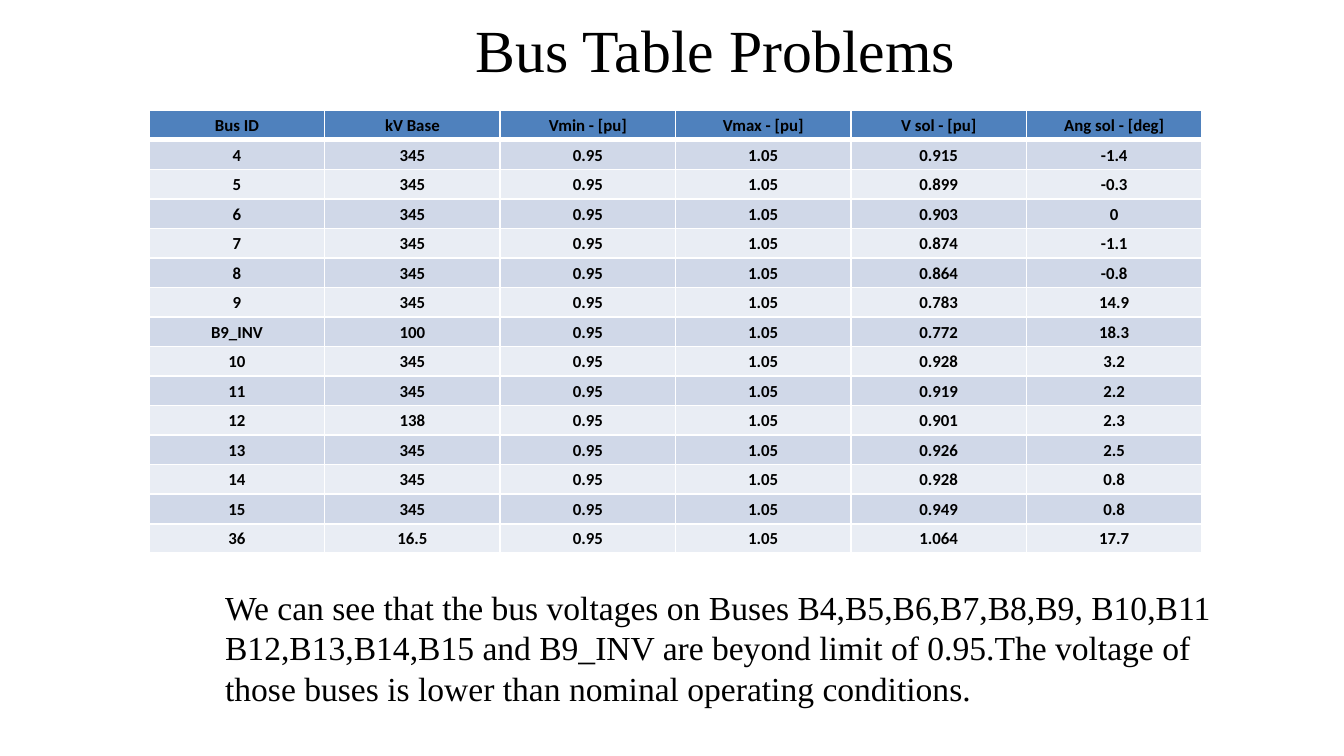
from dataclasses import dataclass

from lxml.etree import SubElement
from pptx import Presentation
from pptx.dml.color import RGBColor
from pptx.enum.text import MSO_ANCHOR, MSO_AUTO_SIZE, PP_ALIGN
from pptx.oxml.ns import qn
from pptx.util import Inches, Pt

SLIDE_WIDTH = Inches(10)
SLIDE_HEIGHT = SLIDE_WIDTH * 9 // 16


@dataclass(frozen=True)
class Theme:
    text: str = "000000"
    header: str = "4F81BD"
    odd_band: str = "D0D8E8"
    even_band: str = "E9EDF4"
    border: str = "FFFFFF"
    prose_font: str = "Times New Roman"
    table_font: str = "Calibri"
    title_size: int = 32
    body_size: int = 18
    table_size: int = 9
    border_width: int = 1
    header_rule: int = 3


THEME = Theme()

HEADERS = ["Bus ID", "kV Base", "Vmin - [pu]", "Vmax - [pu]", "V sol - [pu]", "Ang sol - [deg]"]
VOLTAGE_LIMITS = ["0.95", "1.05"]
BUSES = [
    ("4", "345", "0.915", "-1.4"),
    ("5", "345", "0.899", "-0.3"),
    ("6", "345", "0.903", "0"),
    ("7", "345", "0.874", "-1.1"),
    ("8", "345", "0.864", "-0.8"),
    ("9", "345", "0.783", "14.9"),
    ("B9_INV", "100", "0.772", "18.3"),
    ("10", "345", "0.928", "3.2"),
    ("11", "345", "0.919", "2.2"),
    ("12", "138", "0.901", "2.3"),
    ("13", "345", "0.926", "2.5"),
    ("14", "345", "0.928", "0.8"),
    ("15", "345", "0.949", "0.8"),
    ("36", "16.5", "1.064", "17.7"),
]
FINDING = (
    "We can see that the bus voltages on Buses B4,B5,B6,B7,B8,B9, B10,B11 "
    "B12,B13,B14,B15 and B9_INV are beyond limit of 0.95.The voltage of "
    "those buses is lower than nominal operating conditions."
)


def percent_box(left, top, width, height):
    return (
        round(SLIDE_WIDTH * left / 100),
        round(SLIDE_HEIGHT * top / 100),
        round(SLIDE_WIDTH * width / 100),
        round(SLIDE_HEIGHT * height / 100),
    )


def set_margins(target, horizontal, vertical):
    target.margin_left = target.margin_right = Inches(horizontal)
    target.margin_top = target.margin_bottom = Inches(vertical)


def style_paragraph(paragraph, font_name, size, alignment, bold=False):
    paragraph.alignment = alignment
    paragraph.font.name = font_name
    paragraph.font.size = Pt(size)
    paragraph.font.bold = bold
    paragraph.font.color.rgb = RGBColor.from_string(THEME.text)


def add_title(slide, text, box):
    title = slide.shapes.title
    title.left, title.top, title.width, title.height = box
    frame = title.text_frame
    frame.text = text
    frame.vertical_anchor = MSO_ANCHOR.MIDDLE
    style_paragraph(frame.paragraphs[0], THEME.prose_font, THEME.title_size, PP_ALIGN.CENTER)


def add_body_text(slide, text, box):
    frame = slide.shapes.add_textbox(*box).text_frame
    frame.word_wrap = True
    frame.auto_size = MSO_AUTO_SIZE.SHAPE_TO_FIT_TEXT
    set_margins(frame, 0.07, 0.04)
    frame.text = text
    style_paragraph(frame.paragraphs[0], THEME.prose_font, THEME.body_size, PP_ALIGN.LEFT)


def set_border(cell, side, width):
    properties = cell._tc.get_or_add_tcPr()
    line = SubElement(properties, qn(f"a:ln{side}"), w=str(Pt(width)))
    fill = SubElement(line, qn("a:solidFill"))
    SubElement(fill, qn("a:srgbClr"), val=THEME.border)


def format_cell(cell, text, row_index):
    for side in "LRTB":
        below_header = (row_index, side) in [(0, "B"), (1, "T")]
        set_border(cell, side, THEME.header_rule if below_header else THEME.border_width)
    band = THEME.odd_band if row_index % 2 else THEME.even_band
    cell.fill.solid()
    cell.fill.fore_color.rgb = RGBColor.from_string(band if row_index else THEME.header)
    cell.vertical_anchor = MSO_ANCHOR.MIDDLE
    set_margins(cell, 0.06, 0)
    cell.text = text
    paragraph = cell.text_frame.paragraphs[0]
    paragraph.line_spacing = 1.07
    paragraph.space_after = Pt(8)
    style_paragraph(paragraph, THEME.table_font, THEME.table_size, PP_ALIGN.CENTER, bold=True)


def add_bus_table(slide, rows, box):
    table = slide.shapes.add_table(len(rows), len(rows[0]), *box).table
    for row_index, values in enumerate(rows):
        for column_index, value in enumerate(values):
            format_cell(table.cell(row_index, column_index), value, row_index)


def main():
    presentation = Presentation()
    presentation.slide_width = SLIDE_WIDTH
    presentation.slide_height = SLIDE_HEIGHT
    slide = presentation.slides.add_slide(presentation.slide_layouts[5])
    bus_rows = [
        [bus, base, *VOLTAGE_LIMITS, voltage, angle] for bus, base, voltage, angle in BUSES
    ]
    add_title(slide, "Bus Table Problems", percent_box(12.15, 0, 82.2, 12.8))
    add_bus_table(slide, [HEADERS, *bus_rows], percent_box(11.1, 14.6, 78.35, 58.65))
    add_body_text(slide, FINDING, percent_box(16.05, 76.95, 78.3, 17.4))
    presentation.save("out.pptx")


if __name__ == "__main__":
    main()
